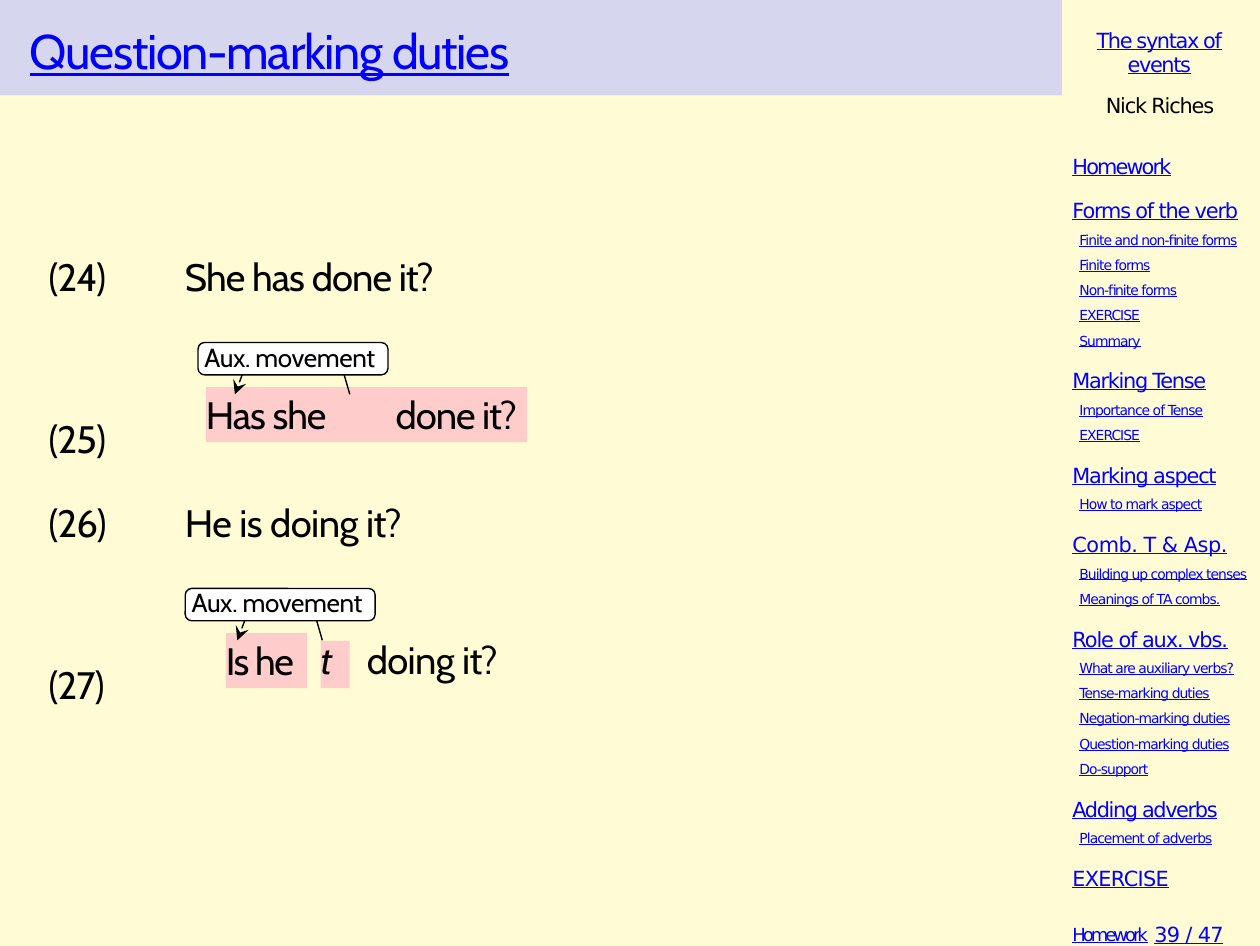
"""Build the slide on question-marking duties with its outline sidebar."""
from dataclasses import dataclass

from pptx import Presentation
from pptx.dml.color import RGBColor
from pptx.enum import shapes, text
from pptx.oxml import parse_xml
from pptx.oxml import ns
from pptx.util import Pt

CREAM = RGBColor(0xFF, 0xFC, 0xD5)
LILAC = RGBColor(0xD6, 0xD6, 0xEF)
PINK = RGBColor(0xFF, 0xCC, 0xCC)
BLUE = RGBColor(0x00, 0x00, 0xFF)
BLACK = RGBColor(0x00, 0x00, 0x00)
WHITE = RGBColor(0xFF, 0xFF, 0xFF)

HEAD, ITEM = 6, 4
HEAD_X, PITCH, GAP = 309, 7.26, 12.7
PAIR = 70.85


@dataclass(frozen=True)
class Style:
    """Look of a line of text."""
    size: float
    face: str = "Cabin"
    color: RGBColor = BLACK
    link: bool = False
    slant: bool = False


@dataclass(frozen=True)
class Topic:
    """Heading in the sidebar with its links."""
    name: str
    track: float
    items: tuple[str, ...] = ()


@dataclass(frozen=True)
class Mark:
    """Pink box with words."""
    words: str
    x: float
    y: float
    wide: float
    high: float
    track: float
    slant: bool = False


@dataclass(frozen=True)
class Pair:
    """Statement and its question, with the movement arrow."""
    first: int
    words: str
    track: float
    label: float
    left: float
    right: float
    marks: tuple[Mark, ...]
    rest: str = ""


TITLE = Style(14, color=BLUE, link=True)
BODY = Style(11)
SLANT = Style(11, slant=True)
NOTE = Style(7.5)
LINK = Style(HEAD, "DejaVu Sans", BLUE, True)
SUB = Style(ITEM, "DejaVu Sans", BLUE, True)
NAME = Style(HEAD, "DejaVu Sans")
FOOT = Style(5.2, "DejaVu Sans", BLUE, True)

TOPICS = (
    Topic("Homework", -0.55),
    Topic("Forms of the verb", -0.35, (
        "Finite and non-finite forms", "Finite forms", "Non-finite forms",
        "EXERCISE", "Summary")),
    Topic("Marking Tense", -0.36, ("Importance of Tense", "EXERCISE")),
    Topic("Marking aspect", -0.34, ("How to mark aspect",)),
    Topic("Comb. T & Asp.", -0.15,
          ("Building up complex tenses", "Meanings of TA combs.")),
    Topic("Role of aux. vbs.", -0.3, (
        "What are auxiliary verbs?", "Tense-marking duties",
        "Negation-marking duties", "Question-marking duties", "Do-support")),
    Topic("Adding adverbs", -0.4, ("Placement of adverbs",)),
    Topic("EXERCISE", -0.2),
)

PAIRS = (
    Pair(24, "She has done it?", -0.28, 57.1, 67.7, 100.8,
         (Mark("Has she\tdone it?", 59.3, 111.5, 92.6, 15.9, -0.3),)),
    Pair(26, "He is doing it?", -0.18, 53.4, 68.4, 92.9,
         (Mark("Is he", 65.1, 111.5, 23.4, 15.9, -0.45),
          Mark("t", 92.4, 113.8, 8.4, 13.6, -0.7, True)), "doing it?"),
)


def write(para, words: str, style: Style, track: float) -> None:
    """Fill a paragraph and set its font and letter spacing."""
    para.text = words
    font = para.font
    font.size, font.name = Pt(style.size), style.face
    font.color.rgb = style.color
    font.underline, font.italic = style.link, style.slant
    for run in para.runs:
        run._r.get_or_add_rPr().set("spc", str(round(track * 100)))


def clear(frame) -> None:
    """Take margins and wrapping off a text frame."""
    frame.margin_left = frame.margin_right = 0
    frame.margin_top = frame.margin_bottom = 0
    frame.word_wrap = False


def put(slide, words: str, x: float, y: float, wide: float, style: Style,
        track: float, align=text.PP_ALIGN.LEFT):
    """Place a line of text and return its frame."""
    high = style.size * 1.2
    box = slide.shapes.add_textbox(Pt(x), Pt(y), Pt(wide), Pt(high))
    frame = box.text_frame
    clear(frame)
    para = frame.paragraphs[0]
    para.alignment = align
    write(para, words, style, track)
    return frame


def block(slide, kind, x: float, y: float, wide: float, high: float,
          color: RGBColor):
    """Draw a filled shape without an outline."""
    shape = slide.shapes.add_shape(kind, Pt(x), Pt(y), Pt(wide), Pt(high))
    shape.shadow.inherit = False
    shape.fill.solid()
    shape.fill.fore_color.rgb = color
    shape.line.fill.background()
    clear(shape.text_frame)
    shape.text_frame.paragraphs[0].alignment = text.PP_ALIGN.LEFT
    return shape


def arrow(slide, left: float, right: float, drop: float) -> None:
    """Draw the bent movement arrow from right to left."""
    low, mid, top = 113.6 + drop, 105.9 + drop, 103.7 + drop
    bends = [(right - 2.2, mid), (right - 5, top), (left + 5, top),
             (left + 2.9, mid), (left, low)]
    pen = slide.shapes.build_freeform(Pt(right), Pt(low))
    pen.add_line_segments([(Pt(x), Pt(y)) for x, y in bends], close=False)
    shape = pen.convert_to_shape()
    shape.shadow.inherit = False
    shape.fill.background()
    shape.line.color.rgb = BLACK
    shape.line.width = Pt(0.4)
    shape.line._get_or_add_ln().append(parse_xml(
        f'<a:tailEnd {ns.nsdecls("a")} type="stealth" w="sm" len="sm"/>'))


def example(slide, pair: Pair, drop: float) -> None:
    """Draw a statement and its question."""
    for step, y in enumerate((72.9, 119.56)):
        put(slide, f"({pair.first + step})", 14, y + drop, 21, BODY, -0.3)
    put(slide, pair.words, 53.3, 72.9 + drop, 78, BODY, pair.track)
    for mark in pair.marks:
        box = block(slide, shapes.MSO_SHAPE.RECTANGLE, mark.x, mark.y + drop,
                    mark.wide, mark.high, PINK)
        frame = box.text_frame
        frame.vertical_anchor = text.MSO_ANCHOR.BOTTOM
        frame.margin_bottom = Pt(1.6)
        para = frame.paragraphs[0]
        write(para, mark.words, SLANT if mark.slant else BODY, mark.track)
        if "\t" in mark.words:
            para._p.get_or_add_pPr().insert(0, parse_xml(
                f'<a:tabLst {ns.nsdecls("a")}>'
                f'<a:tab pos="{Pt(54.7)}" algn="l"/></a:tabLst>'))
    if pair.rest:
        put(slide, pair.rest, 105.7, 112.4 + drop, 42, BODY, -0.2)
    arrow(slide, pair.left, pair.right, drop)
    label = block(slide, shapes.MSO_SHAPE.ROUNDED_RECTANGLE, pair.label,
                  98.7 + drop, 54.7, 9.3, WHITE)
    label.adjustments[0] = 0.2
    label.line.color.rgb = BLACK
    label.line.width = Pt(0.4)
    frame = label.text_frame
    frame.margin_left = Pt(1.3)
    frame.margin_bottom = Pt(1.2)
    frame.vertical_anchor = text.MSO_ANCHOR.MIDDLE
    write(frame.paragraphs[0], "Aux. movement", NOTE, -0.14)


def sidebar(slide) -> None:
    """Write the talk's name, speaker, outline and page number."""
    mid = text.PP_ALIGN.CENTER
    head = put(slide, "The syntax of\vevents", 309, 8.2, 50, LINK, -0.4, mid)
    head.paragraphs[0].line_spacing = Pt(7)
    put(slide, "Nick Riches", 309.2, 26.7, 50, NAME, -0.35, mid)
    y = 44.5
    for topic in TOPICS:
        frame = put(slide, topic.name, HEAD_X, y, 52, LINK, topic.track)
        frame.paragraphs[0].line_spacing = Pt(7)
        for item in topic.items:
            para = frame.add_paragraph()
            write(para, item, SUB, -0.26)
            para.line_spacing = Pt(PITCH)
            para._p.get_or_add_pPr().set("marL", str(Pt(2)))
        y += GAP + PITCH * len(topic.items)
    put(slide, "Homework", HEAD_X, 266, 22, FOOT, -0.85)
    put(slide, "39 / 47", 332.6, 265.4, 21, LINK, -0.2)


def main() -> None:
    """Build and save the slide."""
    deck = Presentation()
    deck.slide_width = Pt(363)
    deck.slide_height = Pt(272.5)
    slide = deck.slides.add_slide(deck.slide_layouts[6])
    slide.background.fill.solid()
    slide.background.fill.fore_color.rgb = CREAM
    block(slide, shapes.MSO_SHAPE.RECTANGLE, 0, 0, 306, 27.5, LILAC)
    put(slide, "Question-marking duties", 8.6, 6, 144, TITLE, -0.41)
    for row, pair in enumerate(PAIRS):
        example(slide, pair, row * PAIR)
    sidebar(slide)
    deck.save("out.pptx")


if __name__ == "__main__":
    main()
